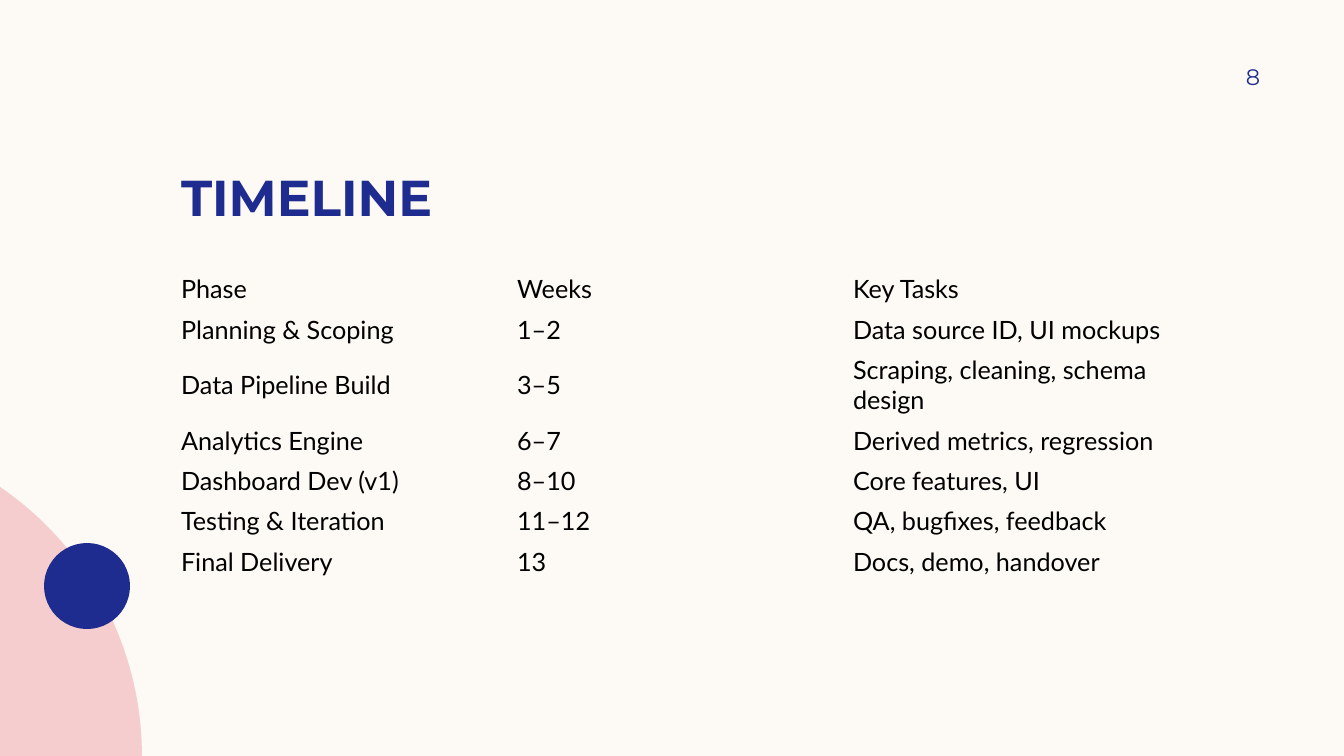
from math import acos, cos, sin

from pptx import Presentation
from pptx.dml.color import RGBColor
from pptx.enum.shapes import MSO_SHAPE
from pptx.enum.text import MSO_ANCHOR, PP_ALIGN
from pptx.util import Pt

EMU_PER_PX = 914400 / 100.8
OVAL = MSO_SHAPE.OVAL
BOTTOM, MIDDLE = MSO_ANCHOR.BOTTOM, MSO_ANCHOR.MIDDLE
LEFT, RIGHT = PP_ALIGN.LEFT, PP_ALIGN.RIGHT
NO_GRID_STYLE = "{2D5ABB26-0587-4C30-8999-92F81FD0307C}"
COLORS = {"cream": "FDFAF6", "pink": "F5CDCE", "navy": "1F2C8F", "black": "000000"}
HEADING_FONT, BODY_FONT = "Montserrat", "Lato"
SLIDE_WIDTH, SLIDE_HEIGHT = 1344, 756

PHASES = [
    ("Phase", "Weeks", "Key Tasks"),
    ("Planning & Scoping", "1–2", "Data source ID, UI mockups"),
    ("Data Pipeline Build", "3–5", "Scraping, cleaning, schema design"),
    ("Analytics Engine", "6–7", "Derived metrics, regression"),
    ("Dashboard Dev (v1)", "8–10", "Core features, UI"),
    ("Testing & Iteration", "11–12", "QA, bugfixes, feedback"),
    ("Final Delivery", "13", "Docs, demo, handover"),
]


def px(length):
    return round(length * EMU_PER_PX)


def color(name):
    return RGBColor.from_string(COLORS[name])


def write(frame, text, *, size, font, ink, bold=False, align=LEFT):
    paragraph = frame.paragraphs[0]
    paragraph.alignment = align
    run = paragraph.add_run()
    run.text = text
    run.font.size = Pt(size)
    run.font.name = font
    run.font.bold = bold
    run.font.color.rgb = color(ink)


class TimelineSlide:
    """Draws styled elements on one slide, measured in px."""

    def __init__(self, deck):
        self.slide = deck.slides.add_slide(deck.slide_layouts[6])
        background = self.slide.background.fill
        background.solid()
        background.fore_color.rgb = color("cream")

    def paint(self, shape, fill):
        shape.shadow.inherit = False
        shape.fill.solid()
        shape.fill.fore_color.rgb = color(fill)
        shape.line.fill.background()

    def circle(self, left, top, diameter, fill):
        box = map(px, (left, top, diameter, diameter))
        self.paint(self.slide.shapes.add_shape(OVAL, *box), fill)

    def corner_arc(self, center_x, radius, fill, steps=60):
        start = acos(-center_x / radius)
        angles = [start * (1 - step / steps) for step in range(steps + 1)]
        edge = [(px(center_x + radius * cos(angle)), px(SLIDE_HEIGHT - radius * sin(angle)))
                for angle in angles]
        outline = self.slide.shapes.build_freeform(0, px(SLIDE_HEIGHT))
        outline.add_line_segments(edge)
        self.paint(outline.convert_to_shape(), fill)

    def text(self, left, top, width, height, text, *, anchor, margins, **style):
        frame = self.slide.shapes.add_textbox(*map(px, (left, top, width, height))).text_frame
        frame.word_wrap = True
        frame.vertical_anchor = anchor
        (frame.margin_left, frame.margin_top,
         frame.margin_right, frame.margin_bottom) = map(px, margins)
        write(frame, text, **style)

    def table(self, left, top, column_width, row_height, rows, **style):
        columns = len(rows[0])
        box = map(px, (left, top, column_width * columns, row_height * len(rows)))
        table = self.slide.shapes.add_table(len(rows), columns, *box).table
        table.first_row = table.horz_banding = False
        table._tbl.tblPr[0].text = NO_GRID_STYLE
        for row, values in enumerate(rows):
            for column, value in enumerate(values):
                cell = table.cell(row, column)
                cell.fill.background()
                cell.vertical_anchor = MIDDLE
                write(cell.text_frame, value, **style)


def main():
    deck = Presentation()
    deck.slide_width, deck.slide_height = px(SLIDE_WIDTH), px(SLIDE_HEIGHT)
    timeline = TimelineSlide(deck)
    timeline.corner_arc(-184, 326, "pink")
    timeline.circle(44, 543, 86, "navy")
    timeline.text(171, 117, 1089, 110, "TIMELINE", anchor=BOTTOM, margins=(10, 0, 10, 0),
                  size=36, font=HEADING_FONT, ink="navy", bold=True)
    timeline.text(1151, 50, 109, 53, "8", anchor=MIDDLE, margins=(10, 5, 0, 5),
                  size=16, font=HEADING_FONT, ink="navy", align=RIGHT)
    timeline.table(171, 269, 336, 40, PHASES, size=18, font=BODY_FONT, ink="black")
    deck.save("out.pptx")


if __name__ == "__main__":
    main()
